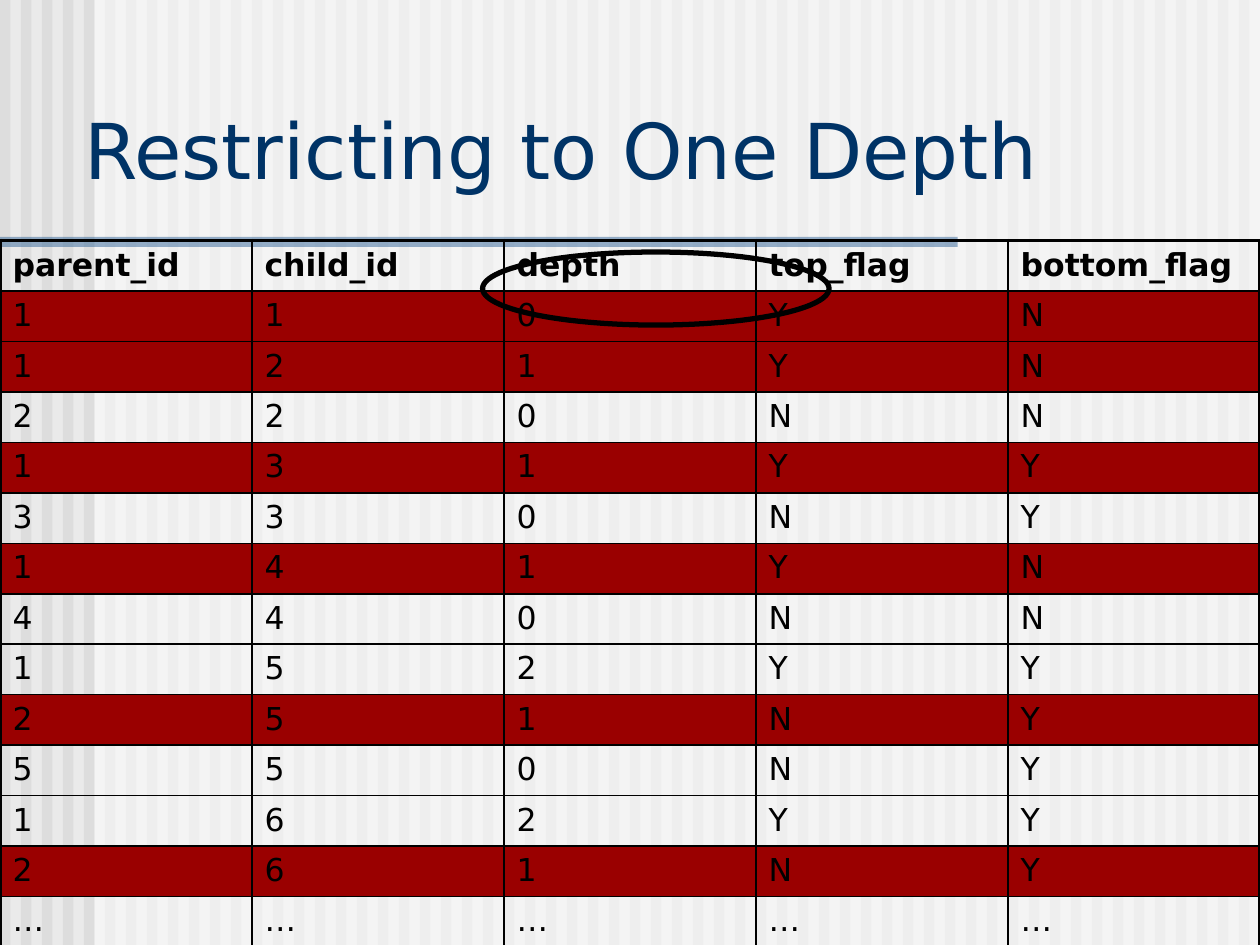
from lxml.etree import SubElement
from pptx import Presentation
from pptx.dml.color import RGBColor
from pptx.enum.shapes import MSO_SHAPE
from pptx.enum.text import MSO_ANCHOR
from pptx.oxml import parse_xml
from pptx.oxml.ns import nsdecls, qn
from pptx.util import Inches, Pt

WIDTH, HEIGHT = 10, 7.5
FONT = "DejaVu Sans"
BLACK, NAVY, RED = "000000", "003366", "9A0000"
STRIPE_COUNT = 60
ROW_HEIGHT = 0.4
THIN, THICK = 1, 2.25

HEADER = ["parent_id", "child_id", "depth", "top_flag", "bottom_flag"]
RECORDS = ["110YN", "121YN", "220NN", "131YY", "330NY", "141YN", "440NN",
           "152YY", "251NY", "550NY", "162YY", "261NY", "………………"[:5]]
HIGHLIGHTED = {1, 2, 4, 6, 9, 12}


def color(code):
    return RGBColor.from_string(code)


def add_shape(page, kind, left, top, width, height, fill=None, opacity=None,
              line=None, line_width=1):
    """Add a preset shape; opacity is a percentage."""
    shape = page.shapes.add_shape(kind, Inches(left), Inches(top),
                                  Inches(width), Inches(height))
    shape.shadow.inherit = False
    if fill:
        shape.fill.solid()
        shape.fill.fore_color.rgb = color(fill)
        if opacity is not None:
            tint = shape.fill._xPr.find(".//" + qn("a:srgbClr"))
            SubElement(tint, qn("a:alpha"), val=str(opacity * 1000))
    else:
        shape.fill.background()
    if line:
        shape.line.color.rgb = color(line)
        shape.line.width = Pt(line_width)
    else:
        shape.line.fill.background()
    return shape


def write_text(frame, text, size=18, code=BLACK, bold=False):
    span = frame.paragraphs[0].add_run()
    span.text = text
    span.font.name = FONT
    span.font.size = Pt(size)
    span.font.bold = bold
    span.font.color.rgb = color(code)


def set_borders(cell, widths):
    """Draw the left, right, top and bottom borders, widths in points."""
    properties = cell._tc.get_or_add_tcPr()
    for index, (side, width) in enumerate(zip("LRTB", widths)):
        properties.insert(index, parse_xml(
            f'<a:ln{side} {nsdecls("a")} w="{Pt(width)}"><a:solidFill>'
            f'<a:srgbClr val="{BLACK}"/></a:solidFill></a:ln{side}>'))


def add_background(page):
    page.background.fill.solid()
    page.background.fill.fore_color.rgb = color("EAEAEA")
    pitch = WIDTH / STRIPE_COUNT
    for index in range(STRIPE_COUNT):
        add_shape(page, MSO_SHAPE.RECTANGLE, index * pitch, 0, pitch / 2,
                  HEIGHT, fill="DDDDDD")
    add_shape(page, MSO_SHAPE.RECTANGLE, 0.75, 0, WIDTH - 0.75, HEIGHT,
              fill="FFFFFF", opacity=50)
    add_shape(page, MSO_SHAPE.RECTANGLE, 0, 1.88, 7.6, 0.08,
              fill="336699", opacity=50)


def add_title(page, text):
    box = page.shapes.add_textbox(Inches(0.57), Inches(0.77), Inches(9.4),
                                  Inches(0.83))
    box.text_frame.word_wrap = True
    box.text_frame.vertical_anchor = MSO_ANCHOR.BOTTOM
    write_text(box.text_frame, text, size=44, code=NAVY)


def add_hierarchy_table(page):
    rows = [HEADER, *RECORDS]
    last_row, last_column = len(rows) - 1, len(HEADER) - 1
    table = page.shapes.add_table(
        len(rows), len(HEADER), 0, Inches(1.91), Inches(WIDTH),
        Inches(ROW_HEIGHT * len(rows))).table
    table.first_row = table.horz_banding = False
    for row, values in enumerate(rows):
        for column, value in enumerate(values):
            cell = table.cell(row, column)
            write_text(cell.text_frame, value, bold=row == 0)
            if row in HIGHLIGHTED:
                cell.fill.solid()
                cell.fill.fore_color.rgb = color(RED)
            else:
                cell.fill.background()
            outer = (column == 0, column == last_column, row == 0,
                     row == last_row)
            set_borders(cell, [THICK if edge else THIN for edge in outer])


def main():
    deck = Presentation()
    deck.slide_width, deck.slide_height = Inches(WIDTH), Inches(HEIGHT)
    page = deck.slides.add_slide(deck.slide_layouts[6])
    add_background(page)
    add_title(page, "Restricting to One Depth")
    add_hierarchy_table(page)
    add_shape(page, MSO_SHAPE.OVAL, 3.83, 2, 2.75, 0.58, line=BLACK,
              line_width=3)
    deck.save("out.pptx")


if __name__ == "__main__":
    main()
